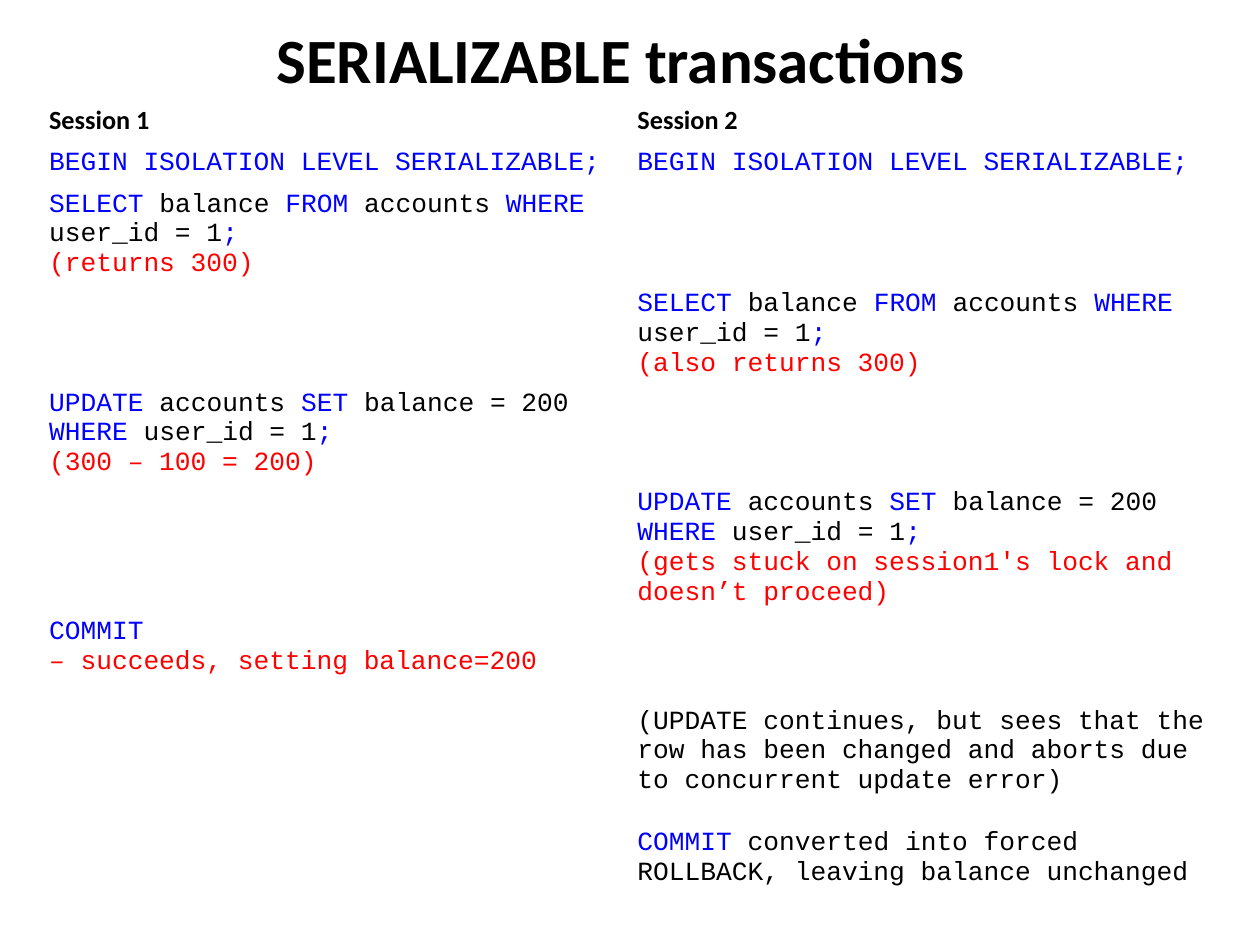
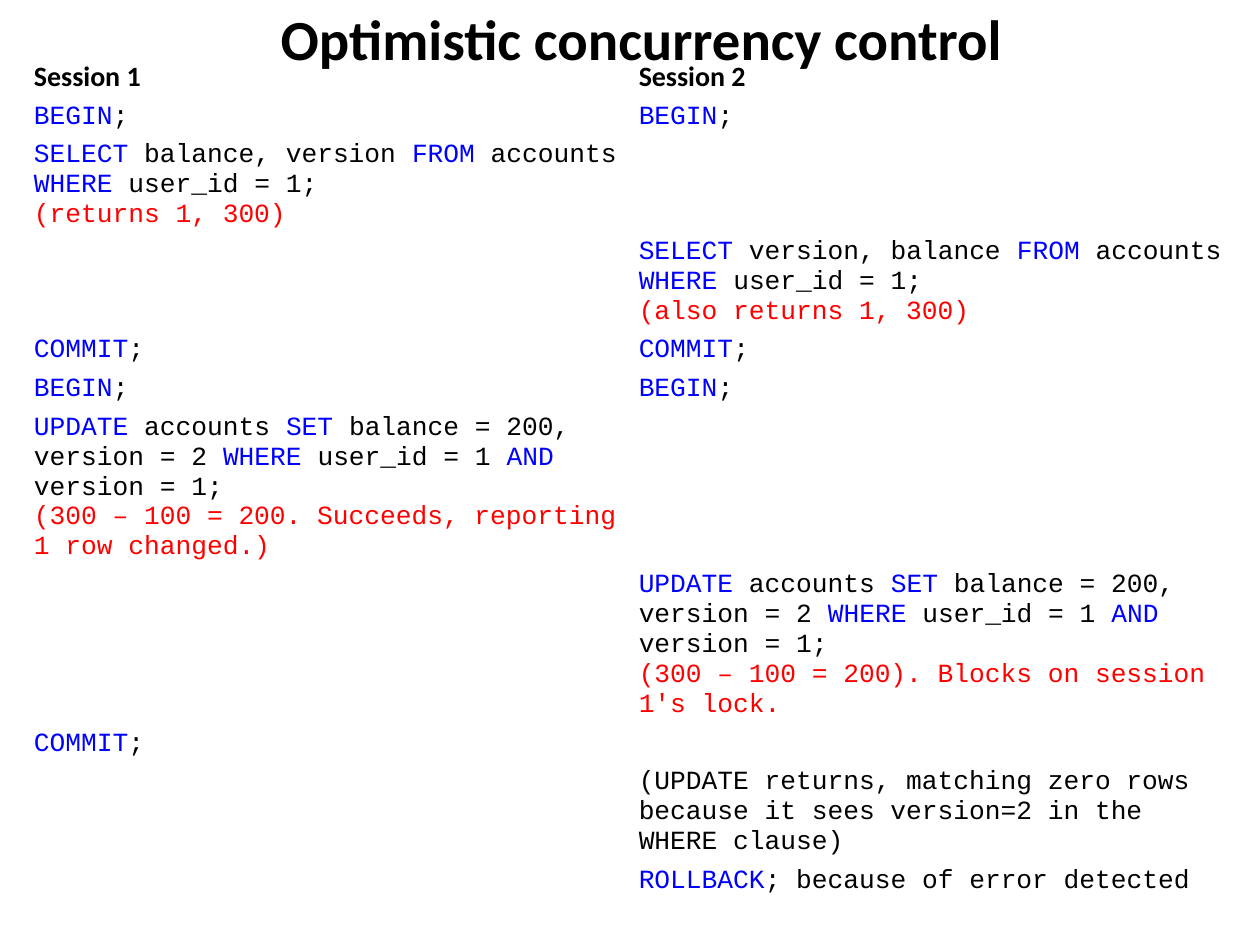
from lxml import etree
from pptx import Presentation
from pptx.dml.color import RGBColor
from pptx.enum import text
from pptx.oxml import ns
from pptx.util import Inches, Pt

HEADING_FONT, CODE_FONT = "Calibri", "Courier New"
BLACK, KEYWORD, NOTE = "000000", "0000FF", "FF0000"
CODE_SIZE = 15
HEADINGS = ("Session 1", "Session 2")
BORDERS = ("a:lnL", "a:lnR", "a:lnT", "a:lnB")
EMPTY = ()

BEGIN_SERIALIZABLE = ("*BEGIN ISOLATION LEVEL SERIALIZABLE;*",)
SELECT_BALANCE = "*SELECT *balance* FROM *accounts* WHERE *user_id = 1*;*"
UPDATE_BALANCE = "*UPDATE *accounts* SET *balance = 200 *WHERE *user_id = 1*;*"
BEGIN, COMMIT = ("*BEGIN*;",), ("*COMMIT*;",)
UPDATE_VERSION = (
    "*UPDATE* accounts *SET* balance = 200, version = 2 "
    "*WHERE* user_id = 1 *AND* version = 1;"
)

SLIDES = [
    {
        "title": "SERIALIZABLE transactions",
        "title_box": (0.43, 0, 9, 0.93),
        "title_size": 36,
        "heading_size": 15,
        "table_at": (0.31, 0.79),
        "column_width": 4.67,
        "insets": (0.08, 0.04),
        "heading_height": 0.34,
        "rows": [
            (0.34, BEGIN_SERIALIZABLE, BEGIN_SERIALIZABLE),
            (0.79, (SELECT_BALANCE, "(returns 300)"), EMPTY),
            (0.79, EMPTY, (SELECT_BALANCE, "(also returns 300)")),
            (0.79, (UPDATE_BALANCE, "(300 – 100 = 200)"), EMPTY),
            (1.02, EMPTY, (UPDATE_BALANCE, "(gets stuck on session1′s lock and doesn’t proceed)")),
            (0.55, ("*COMMIT*", "– succeeds, setting balance=200"), EMPTY),
            (1.1, EMPTY, ("(UPDATE continues, but sees that the row has been changed "
                          "and aborts due to concurrent update error)",)),
            (0.59, EMPTY, ("*COMMIT* converted into forced ROLLBACK, "
                           "leaving balance unchanged",)),
        ],
    },
    {
        "title": "Optimistic concurrency control",
        "title_box": (0.59, 0, 9, 0.6),
        "title_size": 32.4,
        "heading_size": 16,
        "table_at": (0.2, 0.44),
        "column_width": 4.8,
        "insets": (0.07, 0.03),
        "heading_height": 0.34,
        "rows": [
            (0.31, BEGIN, BEGIN),
            (0.77, ("*SELECT* balance, version *FROM* accounts *WHERE* user_id = 1;",
                    "(returns 1, 300)"), EMPTY),
            (0.77, EMPTY, ("*SELECT* version, balance *FROM* accounts *WHERE* user_id = 1;",
                           "(also returns 1, 300)")),
            (0.31, COMMIT, COMMIT),
            (0.31, BEGIN, BEGIN),
            (1.25, (UPDATE_VERSION,
                    "(300 – 100 = 200. Succeeds, reporting 1 row changed.)"), EMPTY),
            (1.25, EMPTY, (UPDATE_VERSION,
                           "(300 – 100 = 200). Blocks on session 1′s lock.")),
            (0.31, COMMIT, EMPTY),
            (0.77, EMPTY, ("(UPDATE returns, matching zero rows because it sees "
                           "version=2 in the WHERE clause)",)),
            (0.31, EMPTY, ("*ROLLBACK*; because of error detected",)),
        ],
    },
]


def add_span(para, words, size, font=CODE_FONT, color=BLACK, bold=False):
    """Append one formatted run to a paragraph."""
    span = para.add_run()
    span.text = words
    span.font.name, span.font.size, span.font.bold = font, Pt(size), bold
    span.font.color.rgb = RGBColor.from_string(color)


def add_title(page, content):
    """Place and fill the title placeholder."""
    title = page.shapes.title
    title.left, title.top, title.width, title.height = map(Inches, content["title_box"])
    frame = title.text_frame
    frame.auto_size = text.MSO_AUTO_SIZE.NONE
    frame.vertical_anchor = text.MSO_ANCHOR.MIDDLE
    para = frame.paragraphs[0]
    para.alignment = text.PP_ALIGN.CENTER
    add_span(para, content["title"], content["title_size"], HEADING_FONT, bold=True)


def format_cell(cell, insets):
    """Make a cell clear and borderless, with its margins and anchor."""
    cell.fill.background()
    cell.vertical_anchor = text.MSO_ANCHOR.MIDDLE
    cell.margin_left = cell.margin_right = Inches(insets[0])
    cell.margin_top = cell.margin_bottom = Inches(insets[1])
    properties = cell._tc.get_or_add_tcPr()
    for index, border in enumerate(BORDERS):
        line = etree.Element(ns.qn(border), w="0")
        etree.SubElement(line, ns.qn("a:noFill"))
        properties.insert(index, line)


def fill_code(cell, parts):
    """Write a statement, its keywords between asterisks, and an optional note."""
    para = cell.text_frame.paragraphs[0]
    if not parts:
        end = etree.SubElement(para._p, ns.qn("a:endParaRPr"))
        end.set("sz", str(CODE_SIZE * 100))
        return
    for index, words in enumerate(parts[0].split("*")):
        if words:
            add_span(para, words, CODE_SIZE, color=KEYWORD if index % 2 else BLACK)
    for note in parts[1:]:
        add_span(cell.text_frame.add_paragraph(), note, CODE_SIZE, color=NOTE)


def add_sessions(page, content):
    """Build the two-column timeline of both sessions."""
    rows = content["rows"]
    heights = [content["heading_height"]] + [row[0] for row in rows]
    left, top = content["table_at"]
    width = content["column_width"] * len(HEADINGS)
    table = page.shapes.add_table(
        len(heights), len(HEADINGS), Inches(left), Inches(top), Inches(width), Inches(sum(heights))
    ).table
    table.first_row = table.horz_banding = False
    for row, height in zip(table.rows, heights):
        row.height = Inches(height)
    for cell in table.iter_cells():
        format_cell(cell, content["insets"])
    for column, heading in enumerate(HEADINGS):
        para = table.cell(0, column).text_frame.paragraphs[0]
        add_span(para, heading, content["heading_size"], HEADING_FONT, bold=True)
        for number, row in enumerate(rows, 1):
            fill_code(table.cell(number, column), row[column + 1])


def main():
    """Build and save the deck."""
    deck = Presentation()
    deck.slide_width, deck.slide_height = Inches(10), Inches(7.5)
    for content in SLIDES:
        page = deck.slides.add_slide(deck.slide_layouts.get_by_name("Title Only"))
        add_title(page, content)
        add_sessions(page, content)
    deck.save("out.pptx")


if __name__ == "__main__":
    main()
